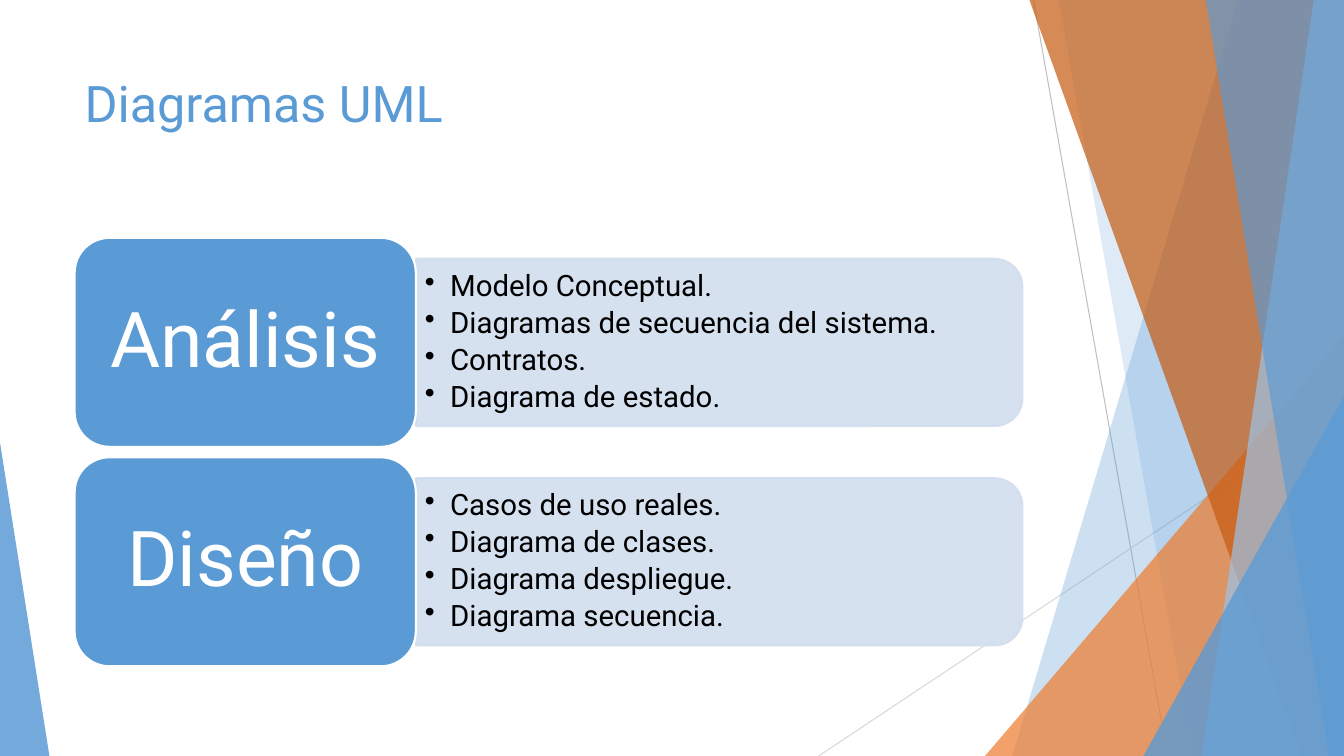
from collections import namedtuple
from lxml.etree import SubElement
from pptx import Presentation
from pptx.dml.color import RGBColor
from pptx.enum.shapes import MSO_CONNECTOR, MSO_SHAPE
from pptx.enum.text import MSO_ANCHOR, PP_ALIGN
from pptx.oxml.ns import qn
from pptx.util import Inches, Pt

Box = namedtuple("Box", "left top width height")

SLIDE = Box(0, 0, 13.33, 7.5)
TITLE = Box(0.74, 0.67, 9.4, 1.44)
DIAGRAM = Box(0.74, 2.36, 9.4, 4.25)
FONT = "Roboto"
BLUE, ORANGE, WHITE, BLACK = "5B9BD5", "ED7D31", "FFFFFF", "000000"
PALE = "D2DEEF"

BANDS_BACK = [
    (12.28, 10.04, BLUE, 30),
    (10.5, 11.83, BLUE, 20),
]
BANDS_FRONT = [
    (10.21, 12.91, "C55A11", 70),
    (13.03, 11.92, "9DC3E6", 70),
    (11.96, 13.18, BLUE, 65),
]
STAGES = [
    ("Análisis", ["Modelo Conceptual.", "Diagramas de secuencia del sistema.",
                  "Contratos.", "Diagrama de estado."]),
    ("Diseño", ["Casos de uso reales.", "Diagrama de clases.",
                "Diagrama despliegue.", "Diagrama secuencia."]),
]


def color(value):
    return RGBColor.from_string(value)


def inches(box):
    return [Inches(length) for length in box]


def set_paint(shape, fill, opacity=100, line=None):
    shape.shadow.inherit = False
    shape.fill.solid()
    shape.fill.fore_color.rgb = color(fill)
    if line:
        shape.line.color.rgb = color(line)
        shape.line.width = Pt(1.5)
    else:
        shape.line.fill.background()
    if opacity < 100:
        for tone in shape.element.xpath("./p:spPr/a:solidFill/a:srgbClr"):
            SubElement(tone, qn("a:alpha"), val=str(opacity * 1000))


def add_run(paragraph, text, size, tone):
    run = paragraph.add_run()
    run.text = text
    run.font.name = FONT
    run.font.size = Pt(size)
    run.font.color.rgb = color(tone)


def set_frame(frame, anchor, horizontal, vertical):
    frame.word_wrap = True
    frame.vertical_anchor = anchor
    frame.margin_left = frame.margin_right = Inches(horizontal)
    frame.margin_top = frame.margin_bottom = Inches(vertical)


def add_thin_line(slide, start, end, tone):
    points = [Inches(length) for length in (*start, *end)]
    line = slide.shapes.add_connector(MSO_CONNECTOR.STRAIGHT, *points)
    line.line.color.rgb = color(tone)
    line.line.width = Pt(0.75)
    SubElement(line.element.spPr, qn("a:effectLst"))


def add_band(slide, box, top_x, bottom_x, tone, opacity):
    right, bottom = box.left + box.width, box.top + box.height
    corners = [(right, box.top), (right, bottom), (bottom_x, bottom)]
    builder = slide.shapes.build_freeform(
        Inches(top_x), Inches(box.top), scale=1.0)
    builder.add_line_segments(
        [(Inches(x), Inches(y)) for x, y in corners], close=True)
    set_paint(builder.convert_to_shape(), tone, opacity)


def add_corner(slide, box, apex, tone, opacity):
    triangle = slide.shapes.add_shape(
        MSO_SHAPE.ISOSCELES_TRIANGLE, *inches(box))
    triangle.adjustments[0] = apex
    set_paint(triangle, tone, opacity)


def add_right_corner(slide, box, width, height, tone, opacity):
    corner = Box(box.width - width, box.height - height, width, height)
    add_corner(slide, corner, 1, tone, opacity)


def add_backdrop(slide, box):
    add_thin_line(slide, (10.25, 0), (11.58, box.height), "BFBFBF")
    add_thin_line(slide, (box.width, 4.03), (8.12, box.height), "D9D9D9")
    for band in BANDS_BACK:
        add_band(slide, box, *band)
    add_right_corner(slide, box, 3.56, 4.17, ORANGE, 72)
    for band in BANDS_FRONT:
        add_band(slide, box, *band)
    add_right_corner(slide, box, 1.99, 3.57, BLUE, 80)
    add_corner(slide, Box(0, box.height - 3.11, 0.49, 3.11), 0, BLUE, 85)


def add_title(slide, box):
    frame = slide.shapes.add_textbox(*inches(box)).text_frame
    set_frame(frame, MSO_ANCHOR.TOP, 0.1, 0.05)
    add_run(frame.paragraphs[0], "Diagramas UML", 36, BLUE)


def add_panel(slide, box):
    middle_x = box.left + box.width / 2
    middle_y = box.top + box.height / 2
    upright = Box(middle_x - box.height / 2, middle_y - box.width / 2,
                  box.height, box.width)
    panel = slide.shapes.add_shape(
        MSO_SHAPE.ROUND_2_SAME_RECTANGLE, *inches(upright))
    panel.rotation = 90
    set_paint(panel, PALE, 90, PALE)
    for tone in panel.element.xpath("./p:spPr/a:ln/a:solidFill/a:srgbClr"):
        SubElement(tone, qn("a:alpha"), val="90000")


def add_bullets(slide, box, items):
    frame = slide.shapes.add_textbox(*inches(box)).text_frame
    set_frame(frame, MSO_ANCHOR.MIDDLE, 0.09, 0.04)
    for index, item in enumerate(items):
        paragraph = frame.add_paragraph() if index else frame.paragraphs[0]
        paragraph.line_spacing = 0.9
        paragraph.space_after = Pt(3.7)
        properties = paragraph._p.get_or_add_pPr()
        properties.set("marL", str(Inches(0.25)))
        properties.set("indent", str(-Inches(0.25)))
        SubElement(properties, qn("a:buChar"), char="•")
        add_run(paragraph, item, 21, BLACK)


def add_label(slide, box, text):
    label = slide.shapes.add_shape(MSO_SHAPE.ROUNDED_RECTANGLE, *inches(box))
    set_paint(label, BLUE, line=WHITE)
    set_frame(label.text_frame, MSO_ANCHOR.MIDDLE, 0.23, 0.11)
    paragraph = label.text_frame.paragraphs[0]
    paragraph.alignment = PP_ALIGN.CENTER
    paragraph.line_spacing = 0.9
    add_run(paragraph, text, 55, WHITE)


def add_stage(slide, box, name, items):
    label_width = 0.36 * box.width
    panel = Box(box.left + label_width, box.top + 0.1 * box.height,
                box.width - label_width, 0.8 * box.height)
    add_panel(slide, panel)
    add_bullets(slide, Box(panel.left, panel.top + 0.05 * panel.height,
                           panel.width - 0.08, 0.9 * panel.height), items)
    add_label(slide, box._replace(width=label_width), name)


def add_diagram(slide, box):
    gap_share = 0.05
    count = len(STAGES)
    height = box.height / (count + gap_share * (count - 1))
    for index, (name, items) in enumerate(STAGES):
        top = box.top + index * height * (1 + gap_share)
        add_stage(slide, Box(box.left, top, box.width, height), name, items)


def main():
    presentation = Presentation()
    presentation.slide_width = Inches(SLIDE.width)
    presentation.slide_height = Inches(SLIDE.height)
    slide = presentation.slides.add_slide(presentation.slide_layouts[6])
    add_backdrop(slide, SLIDE)
    add_title(slide, TITLE)
    add_diagram(slide, DIAGRAM)
    presentation.save("out.pptx")


if __name__ == "__main__":
    main()
